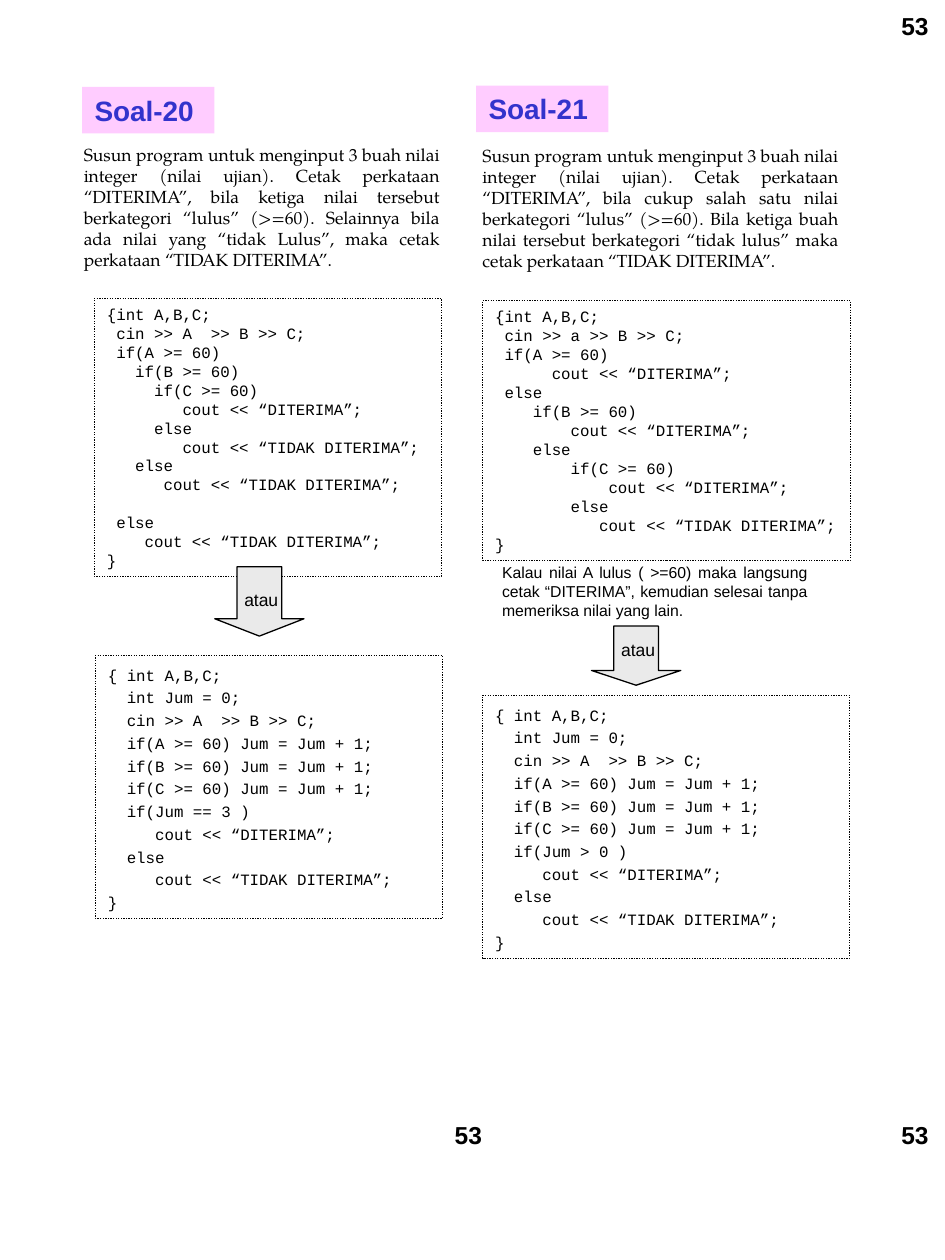
from pptx import Presentation
from pptx.dml.color import RGBColor
from pptx.enum.dml import MSO_LINE
from pptx.enum.shapes import MSO_SHAPE
from pptx.enum.text import MSO_ANCHOR, MSO_AUTO_SIZE, PP_ALIGN
from pptx.util import Pt

RECT, ARROW = MSO_SHAPE.RECTANGLE, MSO_SHAPE.DOWN_ARROW
DOTS = MSO_LINE.ROUND_DOT
LEFT, JUST = PP_ALIGN.LEFT, PP_ALIGN.JUSTIFY
TOP, GROW = MSO_ANCHOR.TOP, MSO_AUTO_SIZE.SHAPE_TO_FIT_TEXT
SERIF, SANS, MONO = "TeX Gyre Pagella", "Arial", "Courier New"
BLACK, BLUE, PINK, GRAY = "000000", "3333CC", "FFCCFF", "EAEAEA"

TASK_ALL = (
    "Susun program untuk menginput 3 buah nilai integer (nilai ujian). "
    "Cetak perkataan “DITERIMA”, bila ketiga nilai tersebut berkategori "
    "“lulus” (>=60). Selainnya bila ada nilai yang “tidak Lulus”, maka "
    "cetak perkataan “TIDAK DITERIMA”."
)
TASK_ANY = (
    "Susun program untuk menginput 3 buah nilai integer (nilai ujian). "
    "Cetak perkataan “DITERIMA”, bila cukup salah satu nilai berkategori "
    "“lulus” (>=60). Bila ketiga buah nilai tersebut berkategori "
    "“tidak lulus” maka cetak perkataan “TIDAK DITERIMA”."
)
NOTE = (
    "Kalau nilai A lulus ( >=60) maka langsung cetak “DITERIMA”, "
    "kemudian selesai tanpa memeriksa nilai yang lain. "
)
NEST_ALL = """{int A,B,C;
 cin >> A  >> B >> C;
 if(A >= 60)
   if(B >= 60)
     if(C >= 60)
        cout << “DITERIMA”;
     else
        cout << “TIDAK DITERIMA”;
   else
      cout << “TIDAK DITERIMA”;
 else
    cout << “TIDAK DITERIMA”;
}"""
NEST_ANY = """{int A,B,C;
 cin >> a >> B >> C;
 if(A >= 60)
      cout << “DITERIMA”;
 else
    if(B >= 60)
        cout << “DITERIMA”;
    else
        if(C >= 60)
            cout << “DITERIMA”;
        else
           cout << “TIDAK DITERIMA”;
}"""
COUNT = """{ int A,B,C;
  int Jum = 0;
  cin >> A  >> B >> C;
  if(A >= 60) Jum = Jum + 1;
  if(B >= 60) Jum = Jum + 1;
  if(C >= 60) Jum = Jum + 1;
  if(Jum %s )
     cout << “DITERIMA”;
  else
     cout << “TIDAK DITERIMA”;
}"""


def rgb(code):
    return RGBColor.from_string(code)


def write(shape, text, font, size, color=BLACK, bold=False, align=LEFT,
          wrap=True, space=1.0):
    """Fill the shape with one paragraph per line of text."""
    frame = shape.text_frame
    frame.word_wrap = wrap
    frame.auto_size = GROW
    frame.vertical_anchor = TOP
    for i, line in enumerate(text.split("\n")):
        para = frame.add_paragraph() if i else frame.paragraphs[0]
        para.alignment = align
        para.line_spacing = space
        run = para.add_run()
        run.text = line
        run.font.name = font
        run.font.size = Pt(size)
        run.font.bold = bold
        run.font.color.rgb = rgb(color)
    return frame


prs = Presentation()
prs.slide_width, prs.slide_height = Pt(540), Pt(720)
shapes = prs.slides.add_slide(prs.slide_layouts[6]).shapes

# Headings
for text, x, y in (("Soal-20", 46.9, 49.7), ("Soal-21", 272.1, 49)):
    head = shapes.add_shape(RECT, Pt(x), Pt(y), Pt(75.6), Pt(26.6))
    head.shadow.inherit = False
    head.fill.solid()
    head.fill.fore_color.rgb = rgb(PINK)
    head.line.fill.background()
    write(head, text, SANS, 16, BLUE, bold=True, wrap=False)

# Tasks and the remark on the second one
for text, font, size, x, y, w, h in (
    (TASK_ALL, SERIF, 10, 40.8, 78.5, 217.4, 79.2),
    (TASK_ANY, SERIF, 10, 268.6, 79.2, 217.4, 91.4),
    (NOTE, SANS, 9, 279.8, 318.3, 188.6, 39.6),
):
    box = shapes.add_textbox(Pt(x), Pt(y), Pt(w), Pt(h))
    write(box, text, font, size, align=JUST)

# Programs
frames = []
for code, space, x, y, w, h in (
    (NEST_ALL, 1.0, 54, 170.5, 198.3, 159),
    (NEST_ANY, 1.0, 275.8, 171.9, 210.3, 148.3),
    (COUNT % "== 3", 1.2, 54.6, 374.6, 198.3, 150.3),
    (COUNT % "> 0", 1.2, 275.8, 397.4, 209.7, 150.3),
):
    box = shapes.add_shape(RECT, Pt(x), Pt(y), Pt(w), Pt(h))
    box.shadow.inherit = False
    box.fill.background()
    box.line.color.rgb = rgb(BLACK)
    box.line.width = Pt(0.75)
    box.line.dash_style = DOTS
    frames.append(write(box, code, MONO, 9, space=space))
# The outer else of the first program stands one line lower
frames[0].paragraphs[10].space_before = Pt(10.85)

# Arrows to the second way of writing each program
for x, y, h, drop in ((122.7, 323.9, 39.6, 9.4), (338, 357.8, 33.8, 3.6)):
    arrow = shapes.add_shape(ARROW, Pt(x), Pt(y), Pt(51), Pt(h))
    arrow.shadow.inherit = False
    arrow.adjustments[0], arrow.adjustments[1] = 0.5, 0.25
    arrow.fill.solid()
    arrow.fill.fore_color.rgb = rgb(GRAY)
    arrow.line.color.rgb = rgb(BLACK)
    arrow.line.width = Pt(0.75)
    label = shapes.add_textbox(Pt(x + 9.8), Pt(y + drop), Pt(34.2), Pt(19.4))
    write(label, "atau", SANS, 10, wrap=False)

# Page numbers, in boxes wide enough for both digits
for x, y in ((252.8, 636.5), (508, 636.5), (508, 2.9)):
    page = shapes.add_textbox(Pt(x), Pt(y), Pt(31), Pt(24.5))
    write(page, "53", SANS, 14, bold=True, wrap=False)

prs.save("out.pptx")
